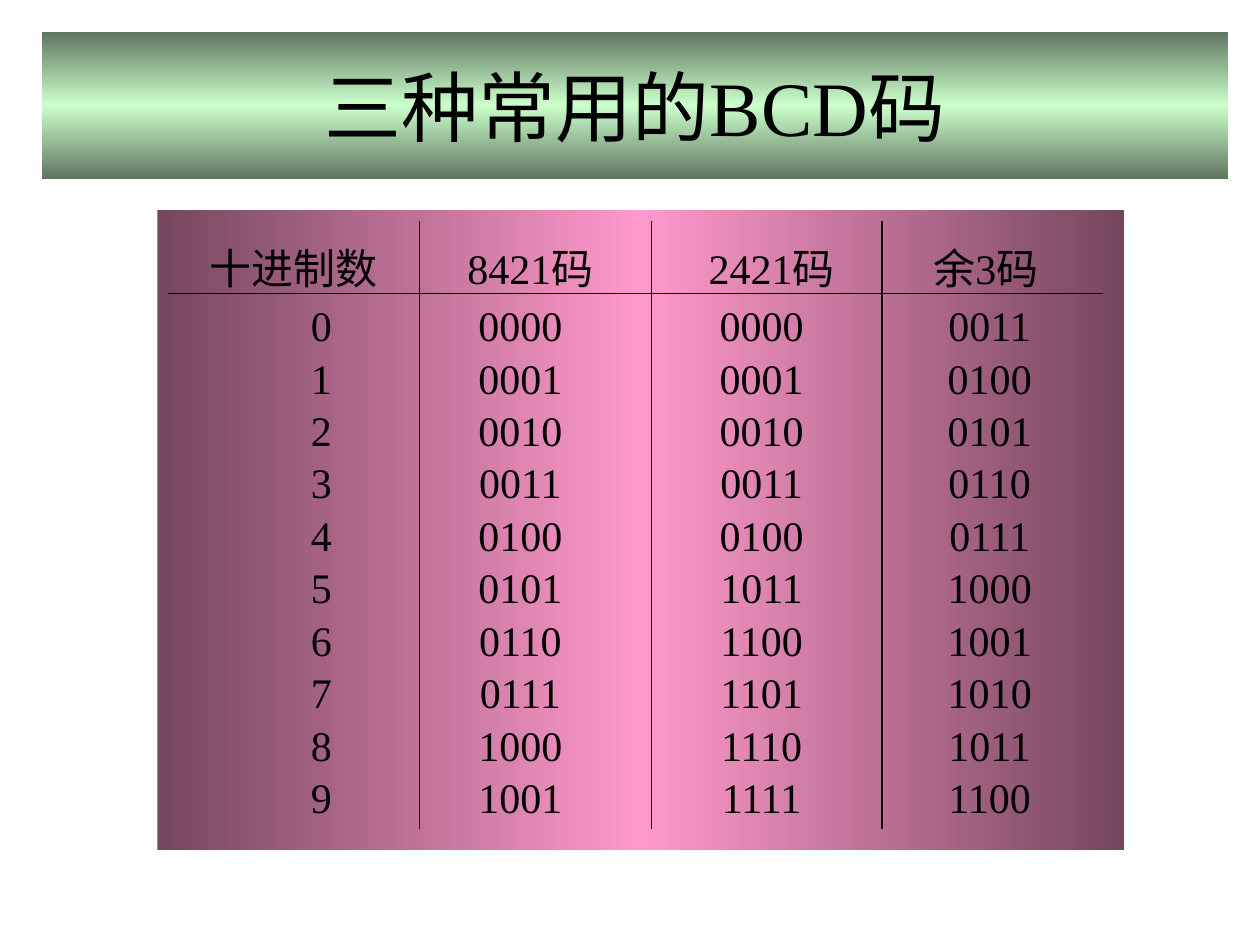
from copy import deepcopy
from pptx import Presentation
from pptx.dml.color import RGBColor as RGB
from pptx.enum.shapes import MSO_CONNECTOR as LINE, MSO_SHAPE as SHAPE
from pptx.enum.text import MSO_ANCHOR as ANCHOR, PP_ALIGN as ALIGN
from pptx.oxml.ns import qn
from pptx.util import Inches, Pt
from lxml import etree

# Content
TITLE = "三种常用的BCD码"
HEAD = ("十进制数", "8421码", "2421码", "余3码")
ROWS = [
    ("0", "0000", "0000", "0011"),
    ("1", "0001", "0001", "0100"),
    ("2", "0010", "0010", "0101"),
    ("3", "0011", "0011", "0110"),
    ("4", "0100", "0100", "0111"),
    ("5", "0101", "1011", "1000"),
    ("6", "0110", "1100", "1001"),
    ("7", "0111", "1101", "1010"),
    ("8", "1000", "1110", "1011"),
    ("9", "1001", "1111", "1100"),
]

# Style
BLACK = RGB(0, 0, 0)
GREEN, MOSS = RGB(0xCC, 0xFF, 0xCC), RGB(0x5E, 0x75, 0x5E)
PINK, PLUM = RGB(0xFF, 0x99, 0xCC), RGB(0x75, 0x46, 0x5E)
FONT = {"name": "Times New Roman", "bold": False}
NO_GRID = "{2D5ABB26-0587-4C30-8999-92F81FD0307C}"

# Layout in inches
EDGES = (1.33, 3.33, 5.17, 7, 8.75)
TOP, HEAD_H, ROW_H = 1.83, 0.56, 5 / 12
RULE_Y, RULE_TOP, RULE_END = 2.33, 1.75, 6.58
HEAD_SHIFT = (0, -0.04, 0.04, -0.05)
BODY_SHIFT = (0.22, -0.12, -0.04, -0.02)


def box(*nums):
    return [Inches(n) for n in nums]


def style(para, size):
    para.alignment = ALIGN.CENTER
    for key, val in {**FONT, "size": Pt(size)}.items():
        setattr(para.font, key, val)
    para.font.color.rgb = BLACK


def shade(shape, edge, mid, angle):
    """Fill with a gradient that runs edge, mid, edge."""
    fill = shape.fill
    fill.gradient()
    fill.gradient_angle = angle
    stops = shape._element.spPr.find(qn("a:gradFill")).find(qn("a:gsLst"))
    stops.append(deepcopy(stops[0]))
    for stop, pos, color in zip(fill.gradient_stops, (0, 0.5, 1), (edge, mid, edge)):
        stop.position = pos
        stop.color.rgb = color


def rule(shapes, x1, y1, x2, y2):
    line = shapes.add_connector(LINE.STRAIGHT, *box(x1, y1, x2, y2))
    line.line.color.rgb = BLACK
    line.line.width = Pt(0.75)
    etree.SubElement(line._element.spPr, qn("a:effectLst"))


def fill_row(table, num, texts, shifts):
    for col, (text, shift) in enumerate(zip(texts, shifts)):
        cell = table.cell(num, col)
        cell.text = text
        cell.fill.background()
        look = {
            "vertical_anchor": ANCHOR.MIDDLE,
            "margin_top": 0,
            "margin_bottom": 0,
            "margin_left": Inches(max(0, 2 * shift)),
            "margin_right": Inches(max(0, -2 * shift)),
        }
        for key, val in look.items():
            setattr(cell, key, val)
        style(cell.text_frame.paragraphs[0], 24)


def main():
    prs = Presentation()
    prs.slide_width, prs.slide_height = box(10, 7.5)
    slide = prs.slides.add_slide(prs.slide_layouts[5])
    shapes = slide.shapes

    # Title band
    title = shapes.title
    title.left, title.top, title.width, title.height = box(0.33, 0.25, 9.42, 1.17)
    title.text_frame.text = TITLE
    title.text_frame.vertical_anchor = ANCHOR.MIDDLE
    style(title.text_frame.paragraphs[0], 44)
    shade(title, MOSS, GREEN, 90)

    # Panel behind the table
    panel = shapes.add_shape(SHAPE.RECTANGLE, *box(1.25, 1.67, 7.67, 5.08))
    panel.shadow.inherit = False
    panel.line.fill.background()
    shade(panel, PLUM, PINK, 180)

    # Code table
    wide, high = EDGES[-1] - EDGES[0], HEAD_H + ROW_H * len(ROWS)
    frame = shapes.add_table(len(ROWS) + 1, len(HEAD), *box(EDGES[0], TOP, wide, high))
    table = frame.table
    table.first_row = table.horz_banding = False
    table._tbl.tblPr.find(qn("a:tableStyleId")).text = NO_GRID
    for col, left, right in zip(table.columns, EDGES, EDGES[1:]):
        col.width = Inches(right - left)
    for num, row in enumerate(table.rows):
        row.height = Inches(ROW_H if num else HEAD_H)
    fill_row(table, 0, HEAD, HEAD_SHIFT)
    for num, texts in enumerate(ROWS, 1):
        fill_row(table, num, texts, BODY_SHIFT)

    # Rules
    rule(shapes, EDGES[0], RULE_Y, EDGES[-1], RULE_Y)
    for x in EDGES[1:-1]:
        rule(shapes, x, RULE_TOP, x, RULE_END)

    prs.save("out.pptx")


if __name__ == "__main__":
    main()
